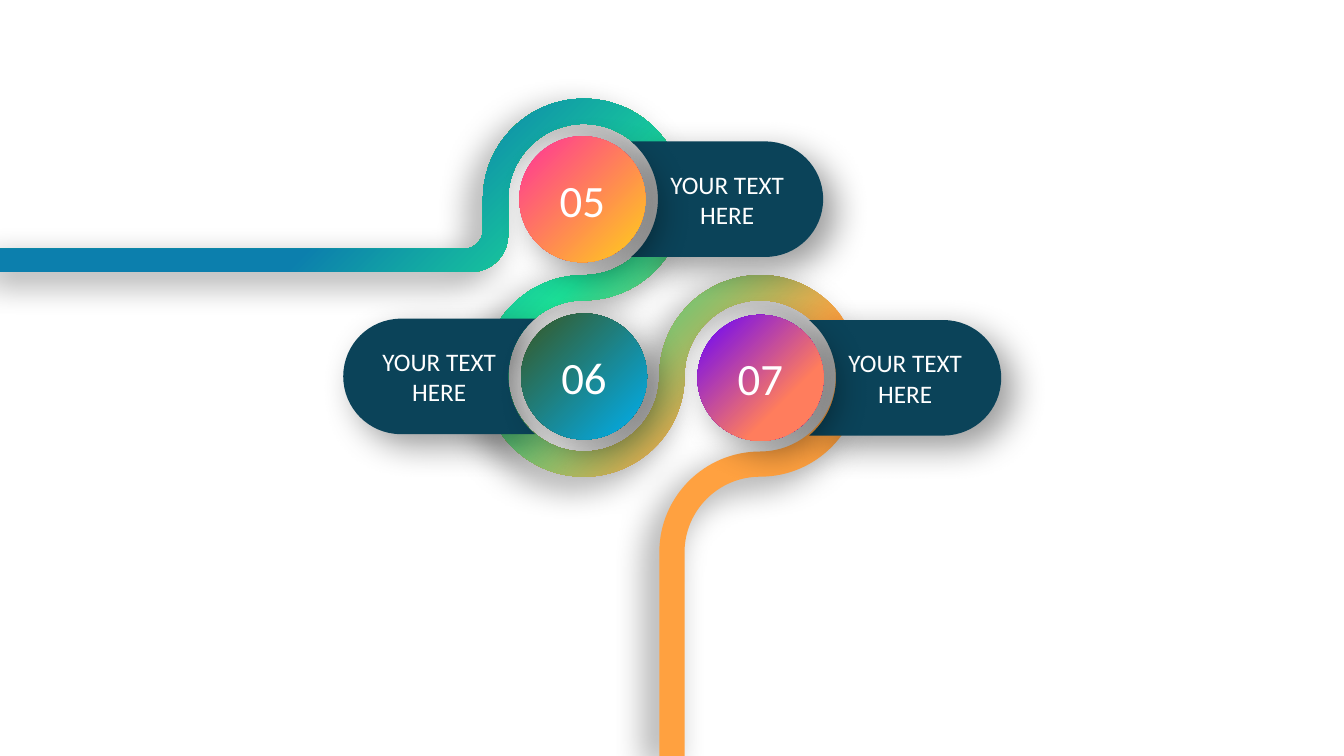
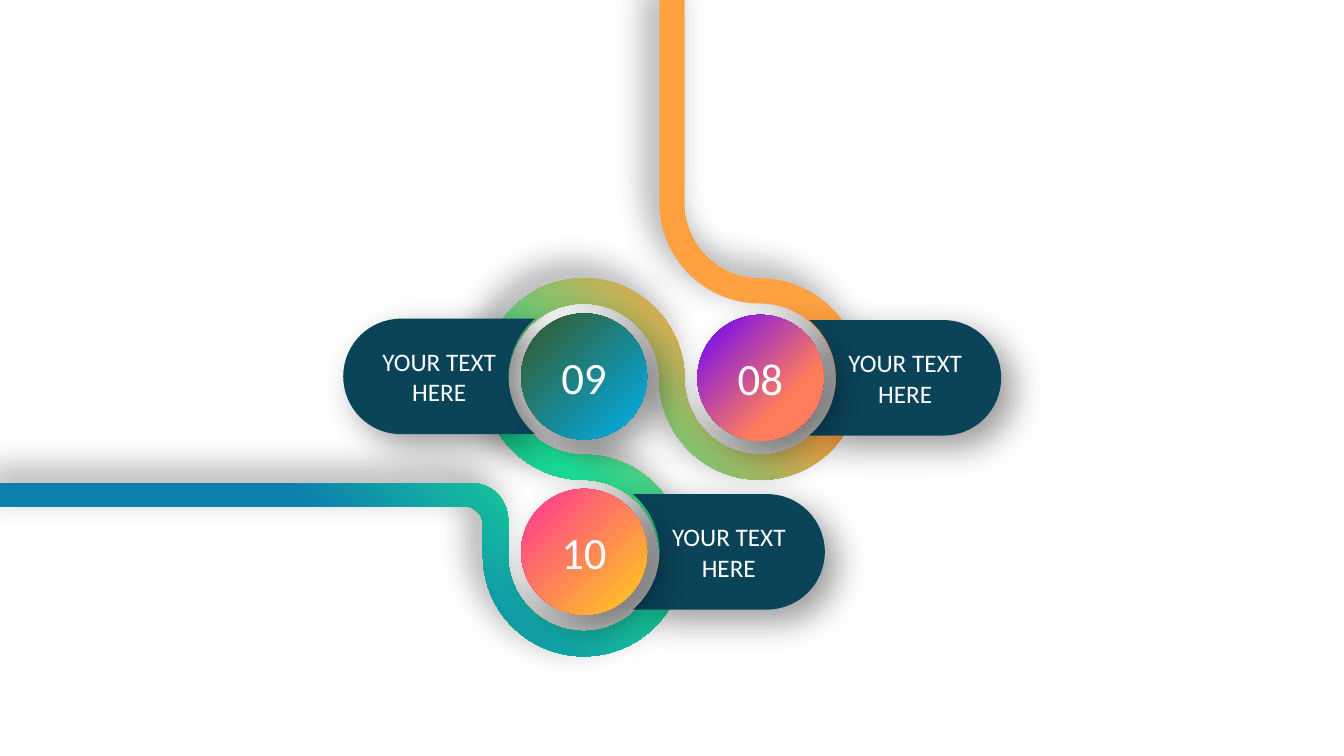
from math import asin, ceil, cos, degrees, dist, radians, sin, tan

from pptx import Presentation
from pptx.dml.color import RGBColor
from pptx.enum.shapes import MSO_SHAPE
from pptx.enum.text import MSO_ANCHOR, PP_ALIGN
from pptx.oxml import parse_xml
from pptx.oxml.ns import nsdecls, qn
from pptx.util import Pt

OVAL = MSO_SHAPE.OVAL
MIDDLE = MSO_ANCHOR.MIDDLE
CENTER = PP_ALIGN.CENTER

WIDTH, HEIGHT, FLIP = 960, 540, 539.3
FONT, WHITE, NAVY = "Calibri", "FFFFFF", "0B4359"
LABEL = "YOUR TEXT HERE"

BEND, BAND = 63, 18
LEFT_X, RIGHT_X = 417, 417 + 2 * BEND
TOP_Y, RAIL_Y, RAIL = 142.5, 186, 16.5
CORNER, CORNER_SPREAD = 20, 6.5
DISC, NOTCH, PILL_HALF, PILL_REACH = 90, 54, 41.25, 172

RIBBON_STOPS = [(30, "FFA140"), (50, "1BDD96"), (70, "0C7FAD")]
PINK = ([(11, "FFBF27"), (100, "FF3399")], None)
TEAL = ([(0, "385723"), (100, "00B0F0")], 45)
PURPLE = ([(31, "FF7D5D"), (100, "6600FF")], None)

SLIDES = [
    (False, [("07", 543.2, 269.9, 1, PURPLE), ("06", 417.2, 268.9, -1, TEAL),
             ("05", 416, 142.3, 1, PINK)]),
    (True, [("08", 543.2, 269.9, 1, PURPLE), ("09", 417.2, 268.9, -1, TEAL),
            ("10", 417.2, 394.2, 1, PINK)]),
]


def rgb(color):
    """Turn a hex string into a colour."""
    return RGBColor.from_string(color)


def arc(cx, cy, radius, start, sweep):
    """Return an arc as cubic curves of four points; angles run clockwise."""
    count = ceil(abs(sweep) / 90)
    step = radians(sweep / count)
    pull = 4 / 3 * tan(step / 4)
    curves = []
    for i in range(count):
        a = radians(start) + i * step
        b = a + step
        unit = [(cos(a), sin(a)),
                (cos(a) - pull * sin(a), sin(a) + pull * cos(a)),
                (cos(b) + pull * sin(b), sin(b) - pull * cos(b)),
                (cos(b), sin(b))]
        curves.append([(cx + radius * x, cy + radius * y) for x, y in unit])
    return curves


def add_outline(shapes, pieces):
    """Add a closed freeform of curves and points, joined by straight lines."""
    points, bends = [pieces[0][0]], []
    for piece in pieces:
        if dist(piece[0], points[-1]) > 0.01:
            points.append(piece[0])
        if len(piece) > 1:
            bends.append(len(points) - 1)
            points += piece[1:]
    emu = [(Pt(x), Pt(y)) for x, y in points]
    builder = shapes.build_freeform(*emu[0])
    builder.add_line_segments(emu[1:], close=True)
    shape = builder.convert_to_shape()
    lines = list(shape._element.iter(qn("a:lnTo")))
    for first in bends:
        curve = parse_xml(f'<a:cubicBezTo {nsdecls("a")}/>')
        lines[first].addprevious(curve)
        for line in lines[first:first + 3]:
            curve.append(line[0])
            line.getparent().remove(line)
    return shape


def finish(shape, shadow_angle=45):
    """Remove the line and give the shape a soft shadow."""
    shape.line.fill.background()
    shape.shadow.inherit = False
    effects = shape._element.spPr.find(qn("a:effectLst"))
    effects.append(parse_xml(
        f'<a:outerShdw {nsdecls("a")} blurRad="{Pt(25)}" dist="{Pt(12)}" '
        f'dir="{shadow_angle * 60000}" algn="ctr" rotWithShape="0">'
        '<a:srgbClr val="000000"><a:alpha val="40000"/></a:srgbClr></a:outerShdw>'))


def fill_gradient(shape, stops, angle=None):
    """Fill along an angle, or from the lower right corner without one."""
    colours = "".join(
        f'<a:gs pos="{pos * 1000}"><a:srgbClr val="{c}"/></a:gs>' for pos, c in stops)
    if angle is None:
        course = '<a:path path="circle"><a:fillToRect l="100000" t="100000"/></a:path>'
    else:
        course = f'<a:lin ang="{angle * 60000}" scaled="0"/>'
    shape.fill.background()
    sp_pr = shape._element.spPr
    sp_pr.replace(sp_pr.find(qn("a:noFill")), parse_xml(
        f'<a:gradFill {nsdecls("a")} rotWithShape="1">'
        f'<a:gsLst>{colours}</a:gsLst>{course}</a:gradFill>'))


def write(shape, text, size, inset):
    """Write centred white text."""
    tf = shape.text_frame
    tf.text = text
    tf.word_wrap = True
    tf.vertical_anchor = MIDDLE
    tf.margin_left = tf.margin_right = Pt(inset)
    p = tf.paragraphs[0]
    p.alignment = CENTER
    font = p.runs[0].font
    font.name, font.size = FONT, Pt(size)
    font.color.rgb = rgb(WHITE)


def ribbon_edge(side):
    """Return the left (1) or right (-1) edge of the ribbon."""
    offset = side * BAND / 2
    rail_y = RAIL_Y - side * RAIL / 2
    corner = CORNER - side * CORNER_SPREAD
    middle_y = TOP_Y + 2 * BEND
    last_y = middle_y + 2 * BEND
    bends = [
        (LEFT_X, TOP_Y, 180, 270),
        (LEFT_X, middle_y, 270, -270),
        (RIGHT_X, middle_y, 180, 270),
        (RIGHT_X, last_y, 270, -90),
    ]
    pieces = [[(0, rail_y)]]
    pieces += arc(LEFT_X - BEND - offset - corner, rail_y - corner, corner, 90, -90)
    for cx, cy, start, sweep in bends:
        radius = BEND + (offset if sweep > 0 else -offset)
        pieces += arc(cx, cy, radius, start, sweep)
    return pieces + [[(RIGHT_X - BEND + offset, HEIGHT)]]


def add_ribbon(s, flipped):
    """Add the winding ribbon, upside down if flipped."""
    pieces = ribbon_edge(1) + [piece[::-1] for piece in reversed(ribbon_edge(-1))]
    if flipped:
        pieces = [[(x, max(0, FLIP - y)) for x, y in piece] for piece in pieces]
    ribbon = add_outline(s.shapes, pieces)
    fill_gradient(ribbon, RIBBON_STOPS, 135 if flipped else 225)
    finish(ribbon, 225 if flipped else 135)


def add_step(s, number, cx, cy, side, gradient):
    """Add a numbered disc with a label pill on its right (1) or left (-1)."""
    shapes = s.shapes.add_group_shape().shapes
    spread = degrees(asin(PILL_HALF / NOTCH))
    outline = (arc(0, 0, NOTCH, spread, -2 * spread)
               + arc(PILL_REACH - PILL_HALF, 0, PILL_HALF, -90, 180))
    pill = add_outline(
        shapes, [[(cx + side * x, cy + y) for x, y in piece] for piece in outline])
    pill.fill.solid()
    pill.fill.fore_color.rgb = rgb(NAVY)
    finish(pill)
    write(pill, LABEL, 18, 14)

    disc = shapes.add_shape(
        OVAL, Pt(cx - DISC / 2), Pt(cy - DISC / 2), Pt(DISC), Pt(DISC))
    fill_gradient(disc, *gradient)
    finish(disc)
    write(disc, number, 32, 7.2)


def main():
    """Build and save the slides."""
    prs = Presentation()
    prs.slide_width, prs.slide_height = Pt(WIDTH), Pt(HEIGHT)
    for flipped, steps in SLIDES:
        s = prs.slides.add_slide(prs.slide_layouts[6])
        add_ribbon(s, flipped)
        for step in steps:
            add_step(s, *step)
    prs.save("out.pptx")


if __name__ == "__main__":
    main()
